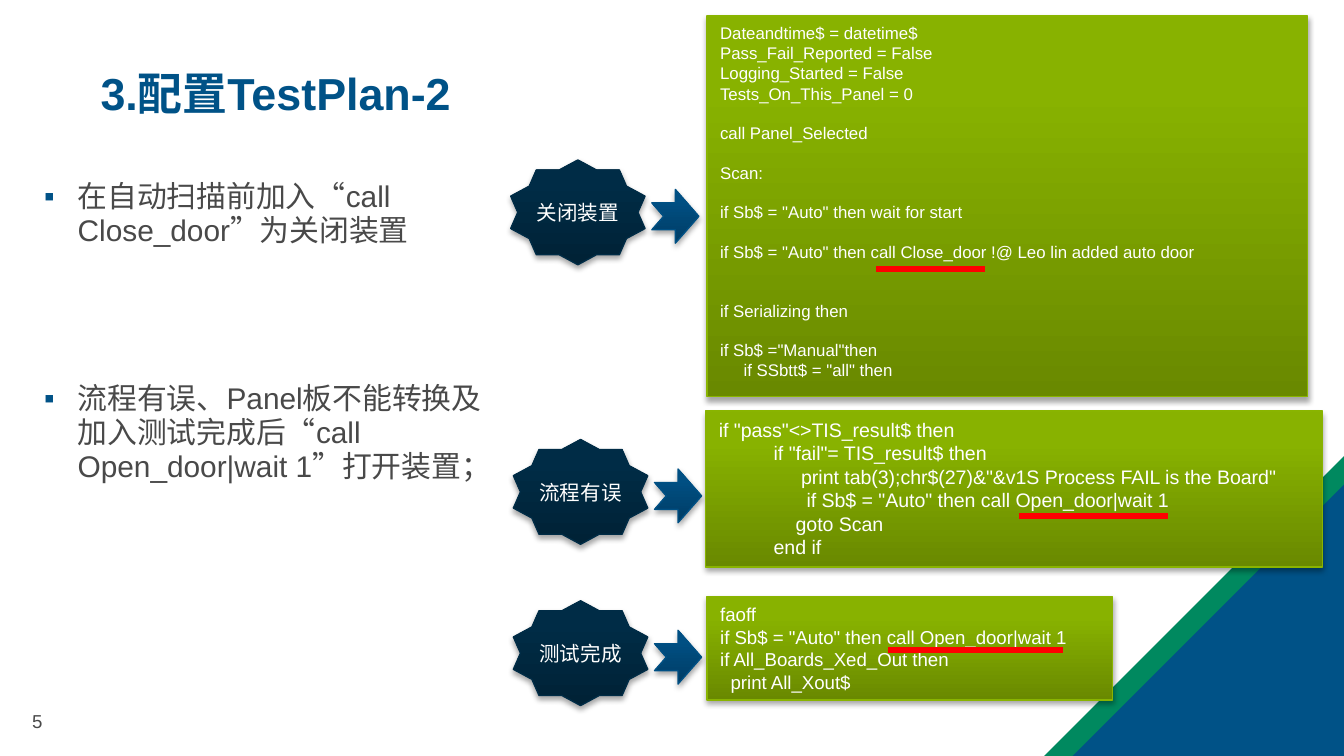
from lxml import etree
from pptx import Presentation
from pptx.dml.color import RGBColor
from pptx.enum.shapes import MSO_CONNECTOR, MSO_SHAPE
from pptx.enum.text import MSO_ANCHOR, PP_ALIGN
from pptx.oxml import parse_xml
from pptx.oxml.ns import nsdecls, qn
from pptx.util import Inches, Pt

# The grid has square cells: 100 columns by 56.25 rows.
CELL = Inches(0.1)
COLUMNS, ROWS = 100, 56.25
FONT = "Arial"
BLUE, GREEN, GREY, WHITE, RED = "005287", "00895F", "494949", "FFFFFF", "FF0000"
# Gradient stops from bottom to top, then the outline
PANEL_COLOURS = ("698900", "88B200", "89B300", "89B400")
ARROW_COLOURS = ("003D65", "004F83", "005083", "005084")
STAR_COLOURS = ("002236", "002C46", "002C46", "002C46")
SPACE_WIDTH, LINE_HEIGHT = 0.28, 1.15  # shares of the font size

RECTANGLE, TRIANGLE = MSO_SHAPE.RECTANGLE, MSO_SHAPE.ISOSCELES_TRIANGLE
STAR, ARROW = MSO_SHAPE.STAR_10_POINT, MSO_SHAPE.NOTCHED_RIGHT_ARROW
STRAIGHT = MSO_CONNECTOR.STRAIGHT
MIDDLE, BOTTOM, TOP = MSO_ANCHOR.MIDDLE, MSO_ANCHOR.BOTTOM, MSO_ANCHOR.TOP
LEFT, CENTER = PP_ALIGN.LEFT, PP_ALIGN.CENTER

# Code lines: text, indent in characters, empty lines above
SCAN_CODE = [
    ("Dateandtime$ = datetime$", 0, 0),
    ("Pass_Fail_Reported = False", 0, 0),
    ("Logging_Started = False", 0, 0),
    ("Tests_On_This_Panel = 0", 0, 0),
    ("call Panel_Selected", 0, 1),
    ("Scan:", 0, 1),
    ('if Sb$ = "Auto" then wait for start', 0, 1),
    ('if Sb$ = "Auto" then call Close_door !@ Leo lin added auto door', 0, 1),
    ("if Serializing then", 0, 2),
    ('if Sb$ ="Manual"then', 0, 1),
    ('if SSbtt$ = "all" then', 5, 0),
]
FAIL_CODE = [
    ('if "pass"<>TIS_result$ then', 0, 0),
    ('if "fail"= TIS_result$ then', 10, 0),
    ('print tab(3);chr$(27)&"&v1S Process FAIL is the Board"', 15, 0),
    ('if Sb$ = "Auto" then call Open_door|wait 1', 16, 0),
    ("goto Scan", 14, 0),
    ("end if", 10, 0),
]
DONE_CODE = [
    ("faoff", 0, 0),
    ('if Sb$ = "Auto" then call Open_door|wait 1', 0, 0),
    ("if All_Boards_Xed_Out then", 0, 0),
    ("print All_Xout$", 2, 0),
]
# Label, star corner, panel box, code, font size, underline (start, end, row) in the panel
STEPS = [
    ("测试完成", (38.2, 44.7), (52.6, 44.4, 30.2, 7.7), DONE_CODE, 10, (13.5, 26.5, 3.95)),
    ("流程有误", (38.2, 32.7), (52.5, 30.6, 45.9, 11.6), FAIL_CODE, 10.5, (23.3, 34.4, 7.8)),
    ("关闭装置", (38, 11.9), (52.6, 1.2, 44.7, 28.3), SCAN_CODE, 9, (12.6, 20.7, 18.8)),
]
BULLETS = [
    ("在自动扫描前加入“call Close_door”为关闭装置", 0),
    ("流程有误、Panel板不能转换及加入测试完成后“call Open_door|wait 1”打开装置；", 72),
]


def colour(value):
    return RGBColor.from_string(value)


def cells(*counts):
    return [round(count * CELL) for count in counts]


def add_run(paragraph, text, size, hex_colour, bold=False):
    run = paragraph.add_run()
    run.text = text
    run.font.size, run.font.name, run.font.bold = Pt(size), FONT, bold
    run.font.color.rgb = colour(hex_colour)


def prepare_text(shape, anchor=TOP):
    frame = shape.text_frame
    frame.word_wrap = True
    frame.vertical_anchor = anchor
    return frame


def add_glossy_shape(slide, kind, box, colours):
    """Add a shape with a vertical gradient and a soft shadow."""
    shape = slide.shapes.add_shape(kind, *cells(*box))
    shape.line.color.rgb = colour(colours[-1])
    shape.line.width = Pt(0.75)
    stops = "".join(
        f'<a:gs pos="{position}000"><a:srgbClr val="{value}"/></a:gs>'
        for position, value in zip((0, 80, 100), colours))
    gradient = parse_xml(
        f'<a:gradFill {nsdecls("a")} rotWithShape="1"><a:gsLst>{stops}</a:gsLst>'
        '<a:lin ang="16200000" scaled="0"/></a:gradFill>')
    shadow = parse_xml(
        f'<a:effectLst {nsdecls("a")}><a:outerShdw blurRad="{Pt(3.1)}" dist="{Pt(1.8)}" '
        'dir="5400000" rotWithShape="0"><a:srgbClr val="000000">'
        '<a:alpha val="35000"/></a:srgbClr></a:outerShdw></a:effectLst>')
    outline = shape.element.spPr.find(qn("a:ln"))
    outline.addprevious(gradient)
    outline.addnext(shadow)
    return shape


def add_corner(slide):
    for size, fill in ((22.3, GREEN), (20.2, BLUE)):
        triangle = slide.shapes.add_shape(
            TRIANGLE, *cells(COLUMNS - size, ROWS - size, size, size))
        triangle.adjustments[0] = 1
        triangle.shadow.inherit = False
        triangle.fill.solid()
        triangle.fill.fore_color.rgb = colour(fill)
        triangle.line.fill.background()


def add_label(slide, box, text, size, hex_colour, anchor, bold=False):
    frame = prepare_text(slide.shapes.add_textbox(*cells(*box)), anchor)
    paragraph = frame.paragraphs[0]
    paragraph.line_spacing = 0.9
    add_run(paragraph, text, size, hex_colour, bold)


def add_bullets(slide, box):
    frame = prepare_text(slide.shapes.add_textbox(*cells(*box)))
    for index, (text, space) in enumerate(BULLETS):
        paragraph = frame.add_paragraph() if index else frame.paragraphs[0]
        paragraph.line_spacing = 0.95
        paragraph.space_before = Pt(space)
        properties = paragraph._p.get_or_add_pPr()
        properties.set("marL", str(Inches(0.25)))
        properties.set("indent", str(-Inches(0.25)))
        bullet_colour = etree.SubElement(properties, qn("a:buClr"))
        etree.SubElement(bullet_colour, qn("a:srgbClr"), val=BLUE)
        etree.SubElement(properties, qn("a:buFont"), typeface=FONT)
        etree.SubElement(properties, qn("a:buChar"), char="▪")
        add_run(paragraph, text, 16, GREY)


def add_code_panel(slide, box, code, size, underline):
    frame = prepare_text(add_glossy_shape(slide, RECTANGLE, box, PANEL_COLOURS))
    for index, (text, indent, empty_lines) in enumerate(code):
        paragraph = frame.add_paragraph() if index else frame.paragraphs[0]
        paragraph.alignment = LEFT
        paragraph.space_before = Pt(empty_lines * size * LINE_HEIGHT)
        margin = Pt(indent * size * SPACE_WIDTH)
        paragraph._p.get_or_add_pPr().set("marL", str(margin))
        add_run(paragraph, text, size, WHITE)
    left, top = box[:2]
    start, end, row = underline
    line = slide.shapes.add_connector(
        STRAIGHT, *cells(left + start, top + row, left + end, top + row))
    line.line.color.rgb = colour(RED)
    line.line.width = Pt(3)
    etree.SubElement(line.element.spPr, qn("a:effectLst"))


def add_step(slide, label, corner, panel_box, code, size, underline):
    left, top = corner
    add_glossy_shape(slide, ARROW, (left + 10.5, top + 2.2, 3.5, 4), ARROW_COLOURS)
    star = add_glossy_shape(slide, STAR, (left, top, 10, 7.8), STAR_COLOURS)
    frame = prepare_text(star, MIDDLE)
    frame.margin_left = frame.margin_right = 0
    frame.paragraphs[0].alignment = CENTER
    add_run(frame.paragraphs[0], label, 11, WHITE)
    add_code_panel(slide, panel_box, code, size, underline)


def main():
    presentation = Presentation()
    presentation.slide_width, presentation.slide_height = cells(COLUMNS, ROWS)
    slide = presentation.slides.add_slide(presentation.slide_layouts[6])
    add_corner(slide)
    add_label(slide, (1.4, 52.5, 8.8, 2.5), "5", 10, GREY, MIDDLE)
    add_label(slide, (6.5, 1.3, 87, 8.1), "3.配置TestPlan-2", 24, BLUE, BOTTOM, bold=True)
    add_bullets(slide, (2.3, 12.9, 36.5, 33.2))
    for step in STEPS:
        add_step(slide, *step)
    presentation.save("out.pptx")


if __name__ == "__main__":
    main()
